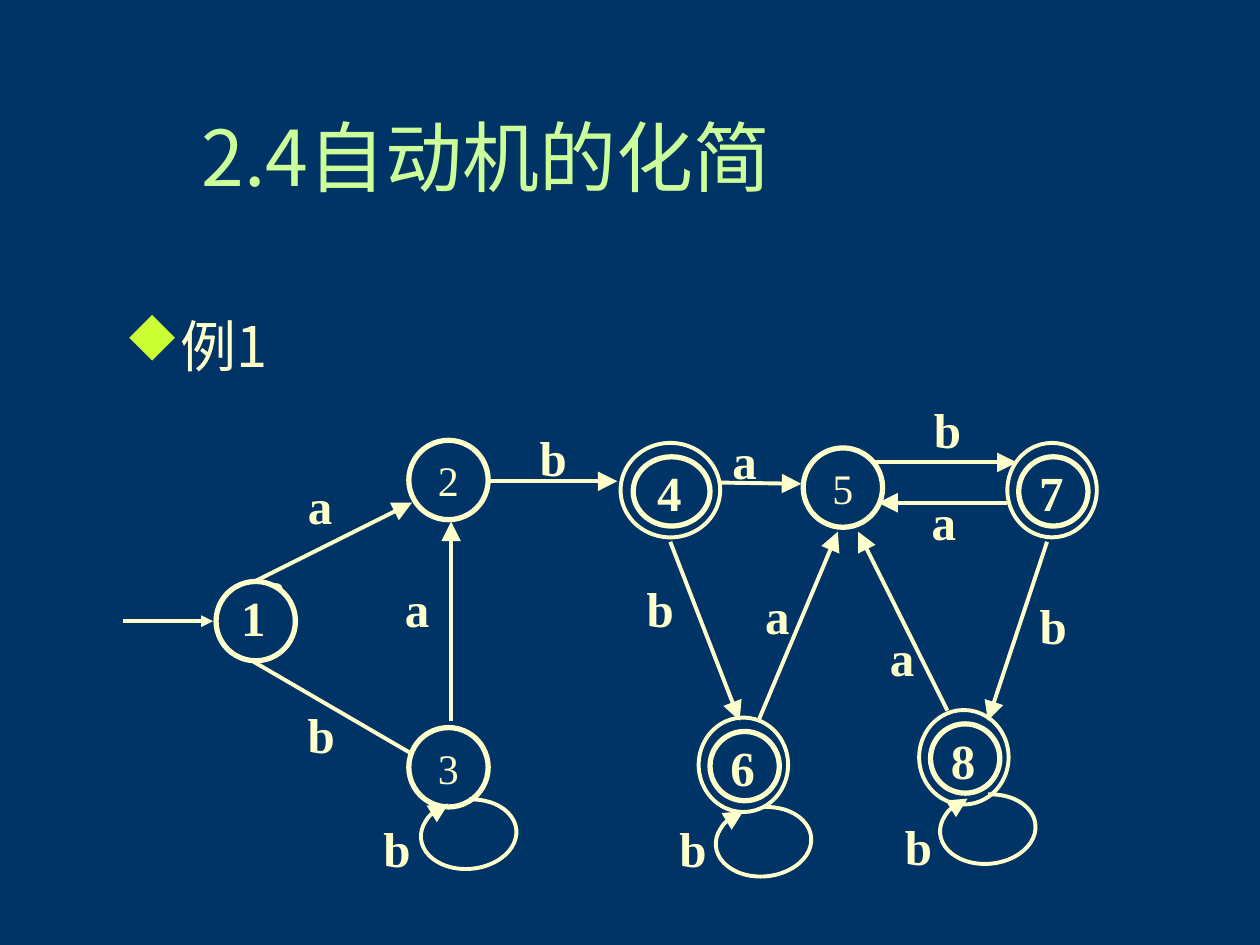
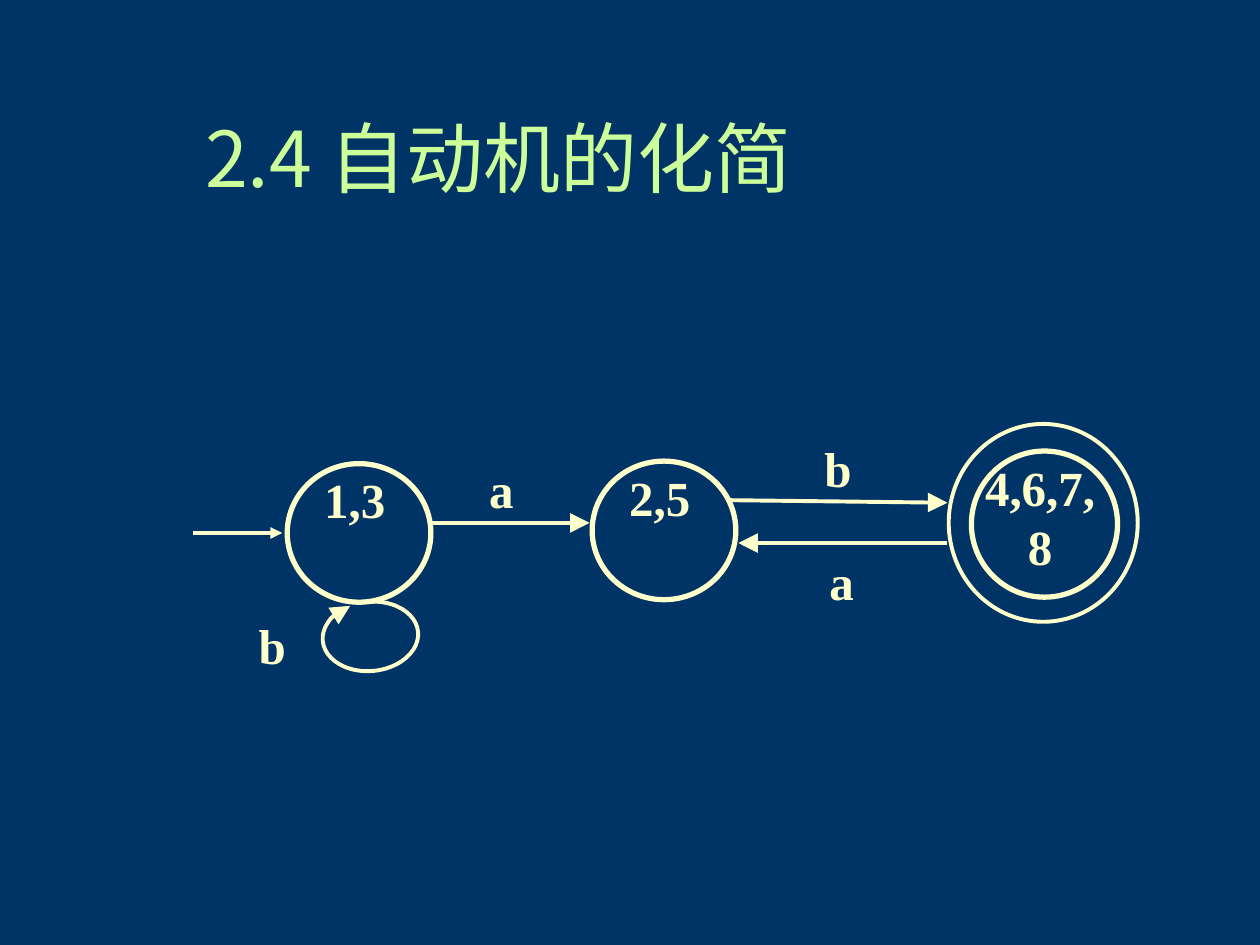
from dataclasses import dataclass

from lxml.etree import SubElement
from pptx import Presentation
from pptx.dml.color import RGBColor
from pptx.enum.shapes import MSO_CONNECTOR, MSO_SHAPE
from pptx.enum.text import MSO_ANCHOR, PP_ALIGN
from pptx.oxml.ns import qn
from pptx.util import Inches, Pt

COLORS = {"night": "003366", "cream": "FFFFCC", "title": "CCFF99", "bullet": "CCFF33"}
CJK, SERIF = "Noto Sans CJK SC", "Times New Roman"
TITLE_FONT = {"name": CJK, "size": Pt(44)}
BODY_FONT = {"name": CJK, "size": Pt(32)}
LABEL_FONT = {"name": SERIF, "size": Pt(28), "bold": True}
PLAIN_FONT = {"name": SERIF, "size": Pt(24)}
THICK, THIN = 3, 2.25
LABEL_SIZE = (0.47, 0.57)
LOOP_SIZE = (0.55, 0.76)
LOOP_ROTATION = 264.5
LOOP_ANGLES = (6, 332)
ADJUSTMENT_PER_DEGREE = 0.6


@dataclass
class Box:
    left: float
    top: float
    width: float
    height: float

    def inches(self):
        return [Inches(n) for n in (self.left, self.top, self.width, self.height)]

    def inner(self, center, size):
        return Box(self.left + center[0] - size[0] / 2,
                   self.top + center[1] - size[1] / 2, *size)


def color(name):
    return RGBColor.from_string(COLORS[name])


def write(frame, text, font, color_name="cream", wrap=True, **layout):
    frame.word_wrap = wrap
    para = frame.paragraphs[0]
    for key, value in layout.items():
        setattr(frame if key == "vertical_anchor" else para, key, value)
    span = para.add_run()
    span.text = text
    for key, value in font.items():
        setattr(span.font, key, value)
    span.font.color.rgb = color(color_name)
    SubElement(span.font._element, qn("a:ea"), typeface=font["name"])


def outline(line, weight):
    line.color.rgb = color("cream")
    line.width = Pt(weight)


def add_head(shape, size):
    line = shape.line._get_or_add_ln()
    SubElement(line, qn("a:tailEnd"), type="triangle", w=size, len=size)


def add_title(page, box, text):
    frame = page.shapes.add_textbox(*box.inches()).text_frame
    write(frame, text, TITLE_FONT, "title",
          vertical_anchor=MSO_ANCHOR.MIDDLE, line_spacing=0.85)


def add_example(page, box, text):
    frame = page.shapes.add_textbox(*box.inches()).text_frame
    properties = frame.paragraphs[0]._p.get_or_add_pPr()
    indent = Inches(0.38)
    properties.set("marL", str(indent))
    properties.set("indent", str(-indent))
    bullet_color = SubElement(properties, qn("a:buClr"))
    SubElement(bullet_color, qn("a:srgbClr"), val=COLORS["bullet"])
    SubElement(properties, qn("a:buFont"), typeface="Wingdings", charset="2")
    SubElement(properties, qn("a:buChar"), char="u")
    write(frame, text, BODY_FONT)


def add_ellipse(shapes, box, weight, filled=True):
    ellipse = shapes.add_shape(MSO_SHAPE.OVAL, *box.inches())
    ellipse.shadow.inherit = False
    if filled:
        ellipse.fill.solid()
        ellipse.fill.fore_color.rgb = color("night")
    else:
        ellipse.fill.background()
    outline(ellipse.line, weight)
    return ellipse


def add_plain_state(page, area, name, center, size):
    ellipse = add_ellipse(page.shapes, area.inner(center, size), THICK)
    write(ellipse.text_frame, name, PLAIN_FONT, wrap=False,
          alignment=PP_ALIGN.CENTER, vertical_anchor=MSO_ANCHOR.MIDDLE)


def add_bold_state(page, area, name, center, size, ring=None):
    shapes = page.shapes.add_group_shape().shapes
    box = area.inner(center, size)
    add_ellipse(shapes, box, THICK)
    text_box = Box(box.left - 0.03 * box.width, box.top, box.width, LABEL_SIZE[1])
    frame = shapes.add_textbox(*text_box.inches()).text_frame
    write(frame, name, LABEL_FONT, alignment=PP_ALIGN.CENTER)
    if ring:
        ring_box = area.inner((center[0] - 0.01, center[1] - 0.01), ring)
        add_ellipse(shapes, ring_box, THIN, filled=False)


def add_edge(page, area, start, end, head="lg"):
    points = [Inches(n) for x, y in (start, end) for n in (area.left + x, area.top + y)]
    edge = page.shapes.add_connector(MSO_CONNECTOR.STRAIGHT, *points)
    outline(edge.line, THIN)
    add_head(edge, head)
    SubElement(edge._element.spPr, qn("a:effectLst"))


def add_loop(page, area, center):
    box = area.inner(center, LOOP_SIZE)
    loop = page.shapes.add_shape(MSO_SHAPE.ARC, *box.inches())
    for index, angle in enumerate(LOOP_ANGLES):
        loop.adjustments[index] = angle * ADJUSTMENT_PER_DEGREE
    loop.rotation = LOOP_ROTATION
    loop.shadow.inherit = False
    loop.fill.background()
    outline(loop.line, THIN)
    add_head(loop, "lg")


def add_label(page, area, text, center):
    box = area.inner(center, LABEL_SIZE)
    frame = page.shapes.add_textbox(*box.inches()).text_frame
    write(frame, text, LABEL_FONT, alignment=PP_ALIGN.CENTER)


def add_automaton(page, area, automaton):
    for text, centers in automaton["labels"].items():
        for center in centers:
            add_label(page, area, text, center)
    for edge in automaton["edges"]:
        add_edge(page, area, *edge)
    for state in automaton["plain"]:
        add_plain_state(page, area, *state)
    for state in automaton["bold"]:
        add_bold_state(page, area, *state)
    for center in automaton["loops"]:
        add_loop(page, area, center)


SINGLE, INNER, RING = (0.63, 0.63), (0.55, 0.55), (0.71, 0.75)
MERGED = (1.14, 1.1)

FULL = {
    "edges": [
        ((-0.02, 1.93), (0.69, 1.93), "med"),
        ((1.01, 1.62), (2.27, 0.99)),
        ((1.01, 2.25), (2.35, 3.03), "med"),
        ((2.58, 2.72), (2.58, 1.14)),
        ((2.88, 0.82), (3.9, 0.82)),
        ((4.71, 0.83), (5.36, 0.84)),
        ((4.32, 1.3), (4.87, 2.72)),
        ((5.02, 2.72), (5.65, 1.22)),
        ((6.52, 2.64), (5.81, 1.22)),
        ((5.89, 0.67), (7.07, 0.67)),
        ((6.99, 0.99), (5.97, 0.99)),
        ((7.31, 1.3), (6.84, 2.72)),
    ],
    "plain": [
        ("2", (2.56, 0.81), SINGLE),
        ("3", (2.56, 3.09), SINGLE),
        ("5", (5.69, 0.87), SINGLE),
    ],
    "bold": [
        ("1", (1.03, 1.93), SINGLE),
        ("4", (4.33, 0.9), (0.61, 0.55), (0.79, 0.75)),
        ("6", (4.91, 3.08), INNER, RING),
        ("7", (7.36, 0.9), INNER, RING),
        ("8", (6.66, 3.02), INNER, RING),
    ],
    "loops": [(2.72, 3.62), (5.06, 3.68), (6.84, 3.58)],
    "labels": {
        "a": [(1.17, 1.66), (1.54, 1.01), (2.31, 1.83), (4.91, 0.65),
              (5.17, 1.88), (6.16, 2.22), (6.49, 1.14)],
        "b": [(1.55, 2.83), (3.39, 0.63), (4.24, 1.83), (6.52, 0.41),
              (7.36, 1.96), (2.15, 3.73), (4.5, 3.73), (6.29, 3.72)],
    },
}

REDUCED = {
    "edges": [
        ((0.53, 1.23), (1.24, 1.23), "med"),
        ((2.42, 1.15), (3.68, 1.15)),
        ((4.79, 0.97), (6.52, 0.99)),
        ((6.52, 1.31), (4.86, 1.31)),
    ],
    "plain": [],
    "bold": [
        ("1,3", (1.85, 1.23), MERGED),
        ("2,5", (4.27, 1.21), MERGED),
        ("4,6,7,8", (7.29, 1.16), (1.16, 1.16), (1.5, 1.57)),
    ],
    "loops": [(1.94, 2.05)],
    "labels": {
        "a": [(2.98, 0.88), (5.68, 1.61)],
        "b": [(1.16, 2.12), (5.65, 0.72)],
    },
}


def add_page(deck):
    page = deck.slides.add_slide(deck.slide_layouts[6])
    page.background.fill.solid()
    page.background.fill.fore_color.rgb = color("night")
    return page


def main():
    deck = Presentation()
    deck.slide_width, deck.slide_height = Inches(10), Inches(7.5)
    area = Box(1, 3, 8, 4)

    page = add_page(deck)
    add_title(page, Box(1.5, 0.67, 8.07, 1.25), "2.4自动机的化简")
    add_example(page, Box(0.89, 2.42, 8.7, 4.24), "例1")
    add_automaton(page, area, FULL)

    page = add_page(deck)
    add_title(page, Box(1.53, 0.68, 8.07, 1.25), "2.4 自动机的化简")
    add_automaton(page, area, REDUCED)

    deck.save("out.pptx")


if __name__ == "__main__":
    main()
